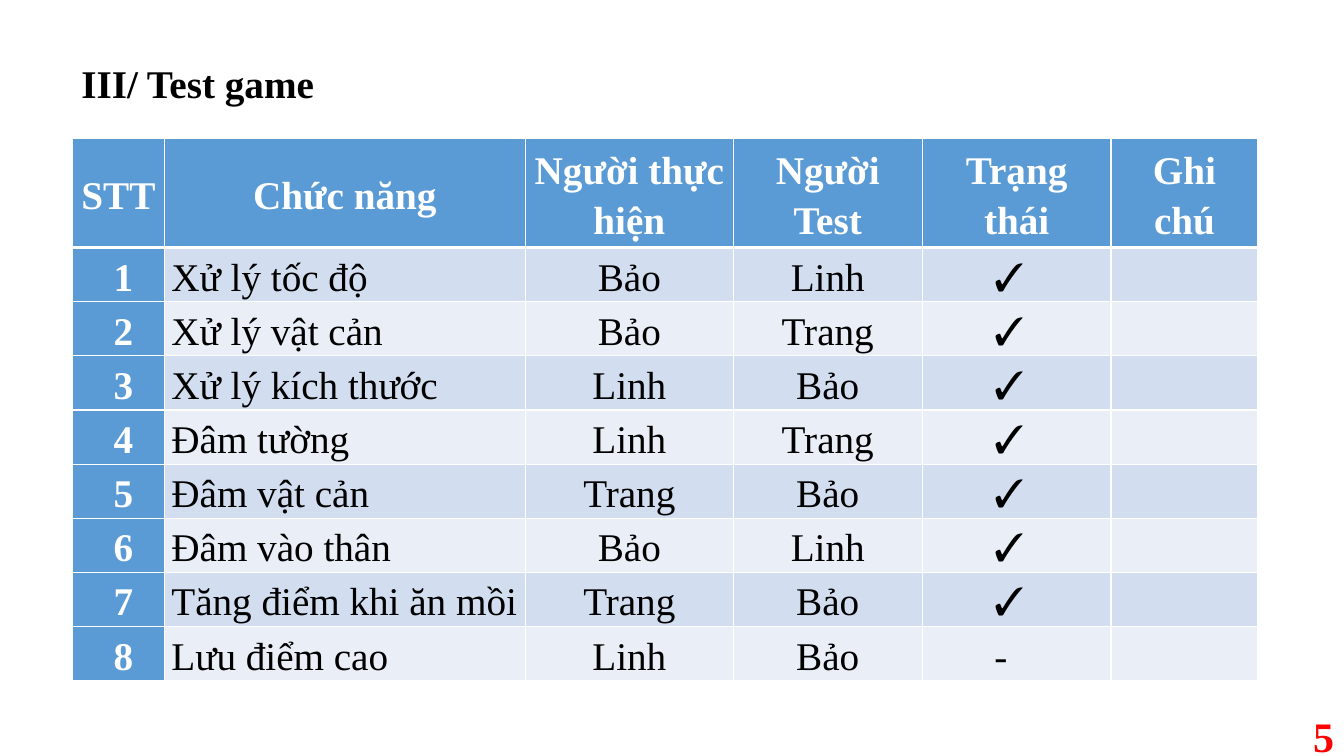
import pptx
import pptx.dml.color
import pptx.enum.text
import pptx.oxml
import pptx.oxml.ns
import pptx.util
from lxml import etree

Cm = pptx.util.Cm
Pt = pptx.util.Pt
ALIGN = pptx.enum.text.PP_ALIGN
MIDDLE = pptx.enum.text.MSO_ANCHOR.MIDDLE

BLUE, WHITE, BLACK, RED = "5B9BD5", "FFFFFF", "000000", "FF0000"
BANDS = ("D2DEEF", "EAEFF7")

HEADERS = ("STT", "Chức năng", "Người thực hiện", "Người Test", "Trạng thái", "Ghi chú")
TESTS = (
    ("Xử lý tốc độ", "Bảo", "Linh", "✓"),
    ("Xử lý vật cản", "Bảo", "Trang", "✓"),
    ("Xử lý kích thước", "Linh", "Bảo", "✓"),
    ("Đâm tường", "Linh", "Trang", "✓"),
    ("Đâm vật cản", "Trang", "Bảo", "✓"),
    ("Đâm vào thân", "Bảo", "Linh", "✓"),
    ("Tăng điểm khi ăn mồi", "Trang", "Bảo", "✓"),
    ("Lưu điểm cao", "Linh", "Bảo", "-"),
)
COLUMN_WIDTHS = (2.31, 9.1, 5.24, 4.76, 4.76, 3.7)
HEADER_HEIGHT, ROW_HEIGHT = 2.74, 1.36

# Format of the body cells in each column
COLUMN_FORMATS = (
    dict(bold=True, color=WHITE, first_indent=0.25),
    dict(align=ALIGN.LEFT),
    dict(),
    dict(),
    dict(align=ALIGN.LEFT, left_indent=1.64),
    dict(),
)


def rgb(color):
    return pptx.dml.color.RGBColor.from_string(color)


def write(frame, text, font="Times New Roman", size=28, color=BLACK, bold=False,
          align=ALIGN.CENTER, spacing=1.15, space_after=0, left_indent=0, first_indent=0):
    paragraph = frame.paragraphs[0]
    paragraph.alignment = align
    paragraph.line_spacing = spacing
    paragraph.space_after = Pt(space_after)
    properties = paragraph._p.get_or_add_pPr()
    properties.set("marL", str(Cm(left_indent)))
    properties.set("indent", str(Cm(first_indent)))
    run = paragraph.add_run()
    run.text = text
    run.font.name = font
    run.font.size = Pt(size)
    run.font.bold = bold
    run.font.color.rgb = rgb(color)


class SlideBuilder:
    def __init__(self, slide):
        self.slide = slide

    def text(self, text, left, top, width, height, wrap=True, anchor=None, **text_format):
        box = self.slide.shapes.add_textbox(Cm(left), Cm(top), Cm(width), Cm(height))
        frame = box.text_frame
        frame.word_wrap = wrap
        frame.vertical_anchor = anchor
        write(frame, text, **text_format)

    def border(self, cell, side, width):
        properties = cell._tc.get_or_add_tcPr()
        line = etree.SubElement(properties, pptx.oxml.ns.qn("a:ln" + side), w=str(Pt(width)))
        fill = etree.SubElement(line, pptx.oxml.ns.qn("a:solidFill"))
        etree.SubElement(fill, pptx.oxml.ns.qn("a:srgbClr"), val=WHITE)

    def cell(self, cell, text, fill, top=1, bottom=1, **text_format):
        for side, width in (("L", 1), ("R", 1), ("T", top), ("B", bottom)):
            self.border(cell, side, width)
        cell.fill.solid()
        cell.fill.fore_color.rgb = rgb(fill)
        cell.vertical_anchor = MIDDLE
        cell.margin_left = cell.margin_right = Cm(0.18)
        cell.margin_top = cell.margin_bottom = 0
        if text:
            write(cell.text_frame, text, **text_format)

    def table(self, left, top):
        heights = [HEADER_HEIGHT] + [ROW_HEIGHT] * len(TESTS)
        table = self.slide.shapes.add_table(
            len(heights), len(HEADERS), Cm(left), Cm(top),
            Cm(sum(COLUMN_WIDTHS)), Cm(sum(heights))).table
        for column, width in zip(table.columns, COLUMN_WIDTHS):
            column.width = Cm(width)
        for row, height in zip(table.rows, heights):
            row.height = Cm(height)

        # Header row
        for column, header in enumerate(HEADERS):
            self.cell(table.cell(0, column), header, BLUE, bottom=3, color=WHITE, bold=True)

        # Numbered test rows with alternating fills; the notes stay empty
        for number, test in enumerate(TESTS, 1):
            band = BANDS[(number - 1) % 2]
            for column, text in enumerate((str(number), *test, "")):
                self.cell(table.cell(number, column), text,
                          band if column else BLUE,
                          top=3 if number == 1 else 1, **COLUMN_FORMATS[column])


def main():
    presentation = pptx.Presentation()
    presentation.slide_width = Cm(33.87)
    presentation.slide_height = Cm(19.05)
    builder = SlideBuilder(presentation.slides.add_slide(presentation.slide_layouts[6]))

    # Page number
    builder.text("5", 26.25, 18.03, 7.62, 1.02, anchor=MIDDLE, size=30, color=RED,
                 bold=True, align=ALIGN.RIGHT, spacing=1.0)
    # Test results
    builder.table(1.83, 3.5)
    # Title
    builder.text("III/ Test game", 1.8, 1.2, 6.43, 1.63, wrap=False, bold=True,
                 align=ALIGN.LEFT, space_after=10)

    presentation.save("out.pptx")


if __name__ == "__main__":
    main()
